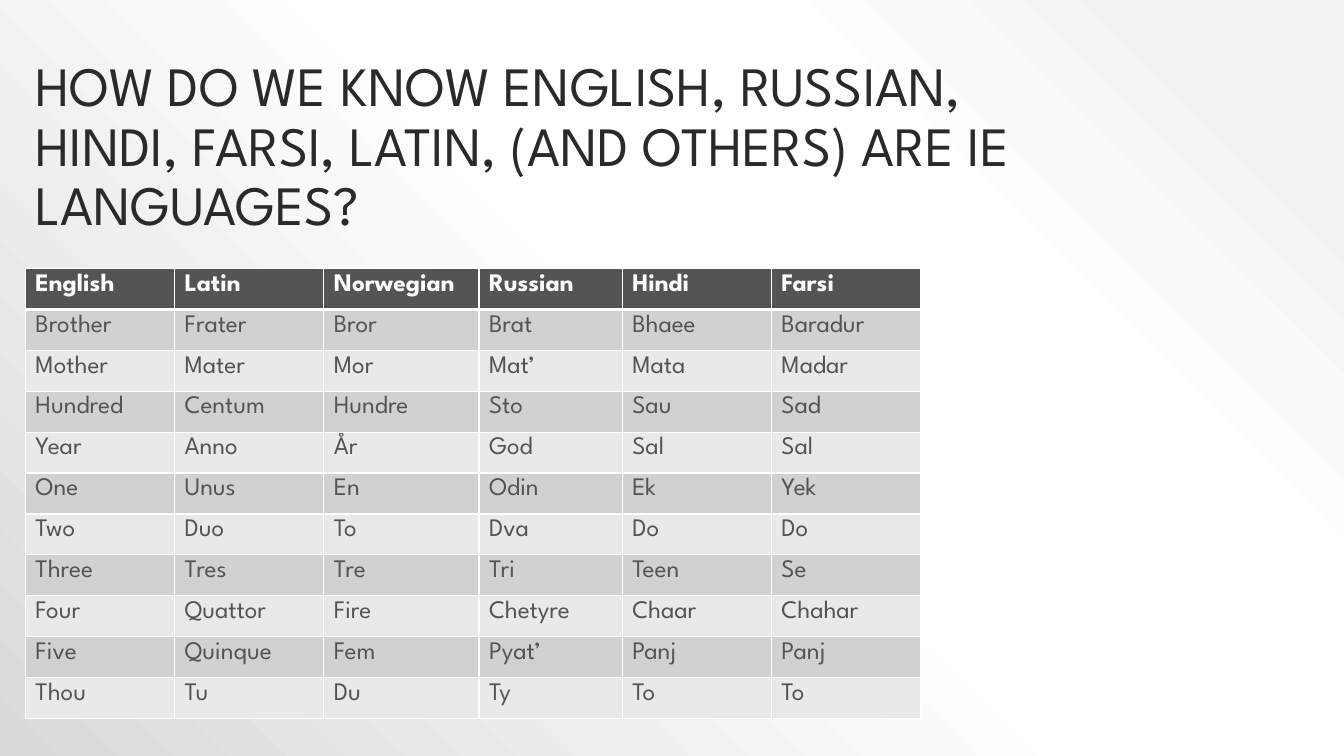
from dataclasses import dataclass

from pptx import Presentation
from pptx.dml.color import RGBColor
from pptx.enum.text import MSO_ANCHOR
from pptx.oxml import parse_xml
from pptx.oxml.ns import nsdecls
from pptx.slide import Slide
from pptx.table import _Cell
from pptx.text.text import TextFrame
from pptx.util import Cm, Pt

FONT = "League Spartan"
COLORS = {
    "title": "2A2A2A", "head": "545454", "text": "545454",
    "odd": "D1D1D1", "even": "E9E9E9", "white": "FFFFFF",
}
STOPS = ((10, "F2F2F2"), (28, "FFFFFF"), (48, "FFFFFF"), (100, "D9D9D9"))
TITLE = ("HOW DO WE KNOW ENGLISH, RUSSIAN, HINDI, FARSI, LATIN, "
         "(AND OTHERS) ARE IE LANGUAGES?")


@dataclass
class Column:
    width: float
    words: str


COLUMNS = [
    Column(3.76, "English Brother Mother Hundred Year One Two Three Four Five Thou"),
    Column(3.76, "Latin Frater Mater Centum Anno Unus Duo Tres Quattor Quinque Tu"),
    Column(3.91, "Norwegian Bror Mor Hundre År En To Tre Fire Fem Du"),
    Column(3.61, "Russian Brat Mat’ Sto God Odin Dva Tri Chetyre Pyat’ Ty"),
    Column(3.76, "Hindi Bhaee Mata Sau Sal Ek Do Teen Chaar Panj To"),
    Column(3.76, "Farsi Baradur Madar Sad Sal Yek Do Se Chahar Panj To"),
]
ROWS = len(COLUMNS[0].words.split())
HEIGHT = 1.03


def write(frame: TextFrame, text: str, *, size: float, color: str,
          bold: bool = False, space: float = 1.0) -> None:
    par = frame.paragraphs[0]
    par.line_spacing = space
    run = par.add_run()
    run.text = text
    font = run.font
    font.name, font.size, font.bold = FONT, Pt(size), bold
    font.color.rgb = RGBColor.from_string(COLORS[color])


def paint(slide: Slide) -> None:
    fill = slide.background.fill
    fill.solid()
    solid = slide.element.find(".//{*}bgPr/{*}solidFill")
    stops = "".join(
        f'<a:gs pos="{pos * 1000}"><a:srgbClr val="{color}"/></a:gs>'
        for pos, color in STOPS)
    grad = parse_xml(
        f'<a:gradFill {nsdecls("a")} rotWithShape="1"><a:gsLst>{stops}</a:gsLst>'
        '<a:path path="circle"><a:fillToRect l="100000" b="100000"/></a:path>'
        '</a:gradFill>')
    solid.getparent().replace(solid, grad)


def border(cell: _Cell, top: int, bottom: int) -> None:
    props = cell._tc.get_or_add_tcPr()
    sides = (("L", 1), ("R", 1), ("T", top), ("B", bottom))
    for index, (side, width) in enumerate(sides):
        props.insert(index, parse_xml(
            f'<a:ln{side} {nsdecls("a")} w="{Pt(width)}"><a:solidFill>'
            f'<a:srgbClr val="{COLORS["white"]}"/></a:solidFill></a:ln{side}>'))


def grid(slide: Slide) -> None:
    width = sum(col.width for col in COLUMNS)
    table = slide.shapes.add_table(
        ROWS, len(COLUMNS), Cm(0.64), Cm(6.77), Cm(width), Cm(HEIGHT * ROWS)).table
    for row in table.rows:
        row.height = Cm(HEIGHT)
    for c, col in enumerate(COLUMNS):
        table.columns[c].width = Cm(col.width)
        for r, word in enumerate(col.words.split()):
            cell, head = table.cell(r, c), r == 0
            shade = "head" if head else "odd" if r % 2 else "even"
            cell.fill.solid()
            cell.fill.fore_color.rgb = RGBColor.from_string(COLORS[shade])
            border(cell, top=3 if r == 1 else 1, bottom=3 if head else 1)
            write(cell.text_frame, word, size=18, bold=head,
                  color="white" if head else "text")


def main() -> None:
    deck = Presentation()
    deck.slide_width, deck.slide_height = Cm(33.87), Cm(19.05)
    slide = deck.slides.add_slide(deck.slide_layouts[6])
    # Background
    paint(slide)
    # Title
    box = slide.shapes.add_textbox(Cm(0.64), Cm(1.47), Cm(27.1), Cm(4.65))
    frame = box.text_frame
    frame.word_wrap = True
    frame.vertical_anchor = MSO_ANCHOR.BOTTOM
    write(frame, TITLE, size=39.6, color="title", space=0.9)
    # Word table
    grid(slide)
    deck.save("out.pptx")


if __name__ == "__main__":
    main()
